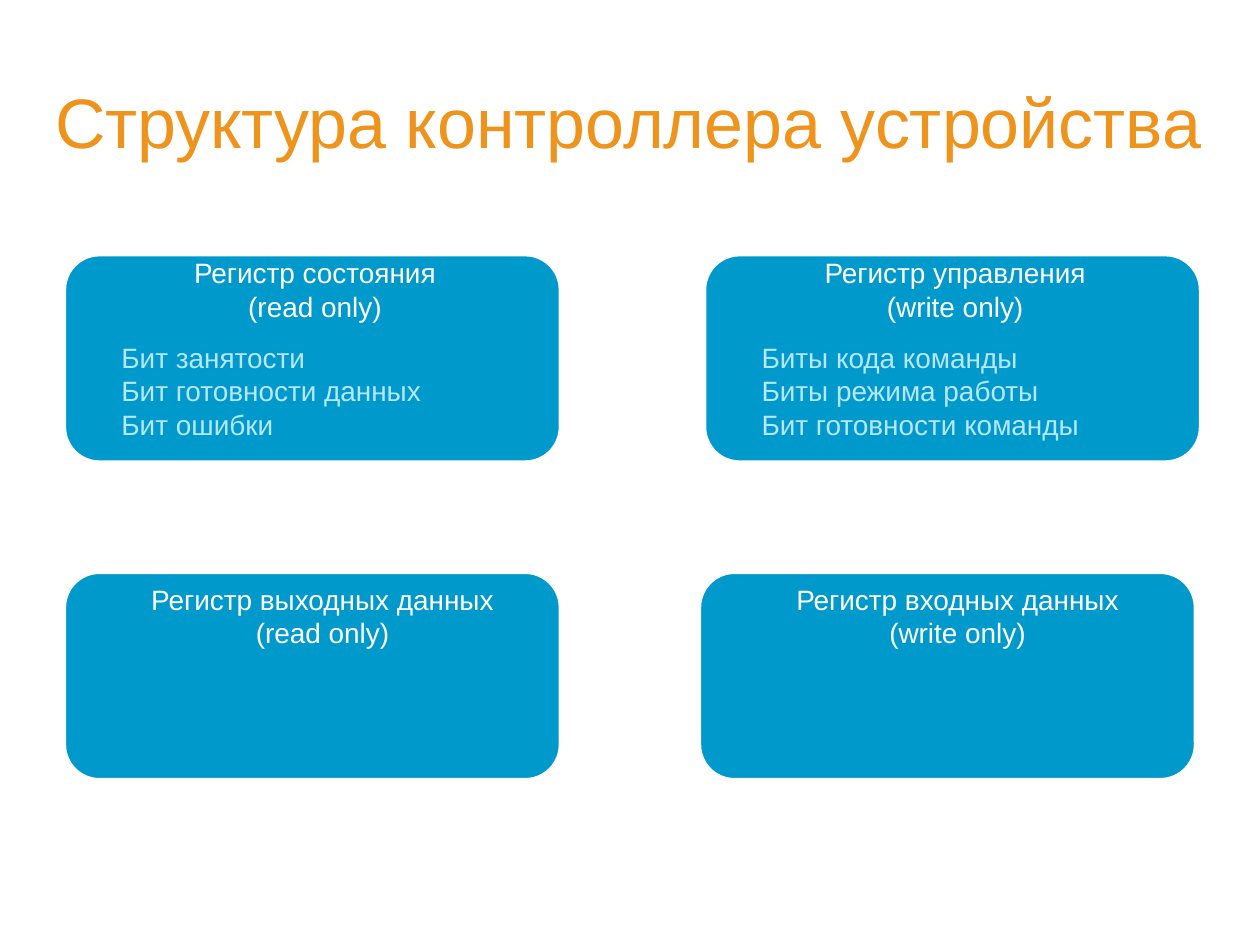
from pptx import Presentation
from pptx.dml.color import RGBColor
from pptx.enum.shapes import MSO_SHAPE
from pptx.enum.text import MSO_ANCHOR, PP_ALIGN
from pptx.util import Pt

COLORS = {"title": "EE941C", "register": "0099CC", "outline": "FFFFFF",
          "heading": "FFFFFF", "bits": "B7E7FF"}
FORMATS = {
    "title": {"name": "Arial", "size": Pt(40)},
    "heading": {"name": "Arial", "size": Pt(16)},
    "bits": {"name": "Arial", "size": Pt(16)},
}
REGISTER_SIZE = (283.7, 118.8)
WIDE_HEADING = (14.4, 2.2, 266.4, 46)
NARROW_HEADING = (56.9, -2.9, 172.8, 46)
BITS_AREA = (25.6, 45.4, 241.2, 64.8)
REGISTERS = [
    (36.7, 145.4, NARROW_HEADING, ["Регистр состояния", "(read only)"],
     ["Бит занятости", "Бит готовности данных", "Бит ошибки"]),
    (402.5, 145.4, NARROW_HEADING, ["Регистр управления", "(write only)"],
     ["Биты кода команды", "Биты режима работы", "Бит готовности команды"]),
    (36.7, 326.9, WIDE_HEADING, ["Регистр выходных данных", "(read only)"], []),
    (399.6, 326.9, WIDE_HEADING, ["Регистр входных данных", "(write only)"], []),
]


def add_text(slide, box, lines, style, alignment, anchor=MSO_ANCHOR.TOP, side_margin=7.2):
    shape = slide.shapes.add_textbox(*map(Pt, box))
    frame = shape.text_frame
    frame_format = {"word_wrap": True, "vertical_anchor": anchor,
                    "margin_left": Pt(side_margin), "margin_right": Pt(side_margin)}
    for attribute, value in frame_format.items():
        setattr(frame, attribute, value)
    frame.text = "\n".join(lines)
    for paragraph in frame.paragraphs:
        paragraph.alignment = alignment
        for attribute, value in FORMATS[style].items():
            setattr(paragraph.font, attribute, value)
        paragraph.font.color.rgb = RGBColor.from_string(COLORS[style])


def add_title(slide, box):
    add_text(slide, box, ["Структура контроллера устройства"], "title",
             PP_ALIGN.CENTER, MSO_ANCHOR.MIDDLE, 0)


def add_register(slide, box, heading_area, heading, bits):
    left, top, width, height = box
    shape = slide.shapes.add_shape(MSO_SHAPE.ROUNDED_RECTANGLE, *map(Pt, box))
    shape.adjustments[0] = 0.17
    shape.shadow.inherit = False
    shape.fill.solid()
    shape.fill.fore_color.rgb = RGBColor.from_string(COLORS["register"])
    shape.line.color.rgb = RGBColor.from_string(COLORS["outline"])
    shape.line.width = Pt(2.25)

    parts = [(heading_area, heading, "heading", PP_ALIGN.CENTER),
             (BITS_AREA, bits, "bits", PP_ALIGN.LEFT)]
    for (x, y, part_width, part_height), lines, style, alignment in parts:
        if lines:
            add_text(slide, (left + x, top + y, part_width, part_height),
                     lines, style, alignment)


def main():
    presentation = Presentation()
    presentation.slide_width = Pt(720)
    presentation.slide_height = Pt(540)
    slide = presentation.slides.add_slide(presentation.slide_layouts[6])
    add_title(slide, (23.8, 18, 670.3, 101.5))
    for left, top, heading_area, heading, bits in REGISTERS:
        add_register(slide, (left, top, *REGISTER_SIZE), heading_area, heading, bits)
    presentation.save("out.pptx")


if __name__ == "__main__":
    main()
